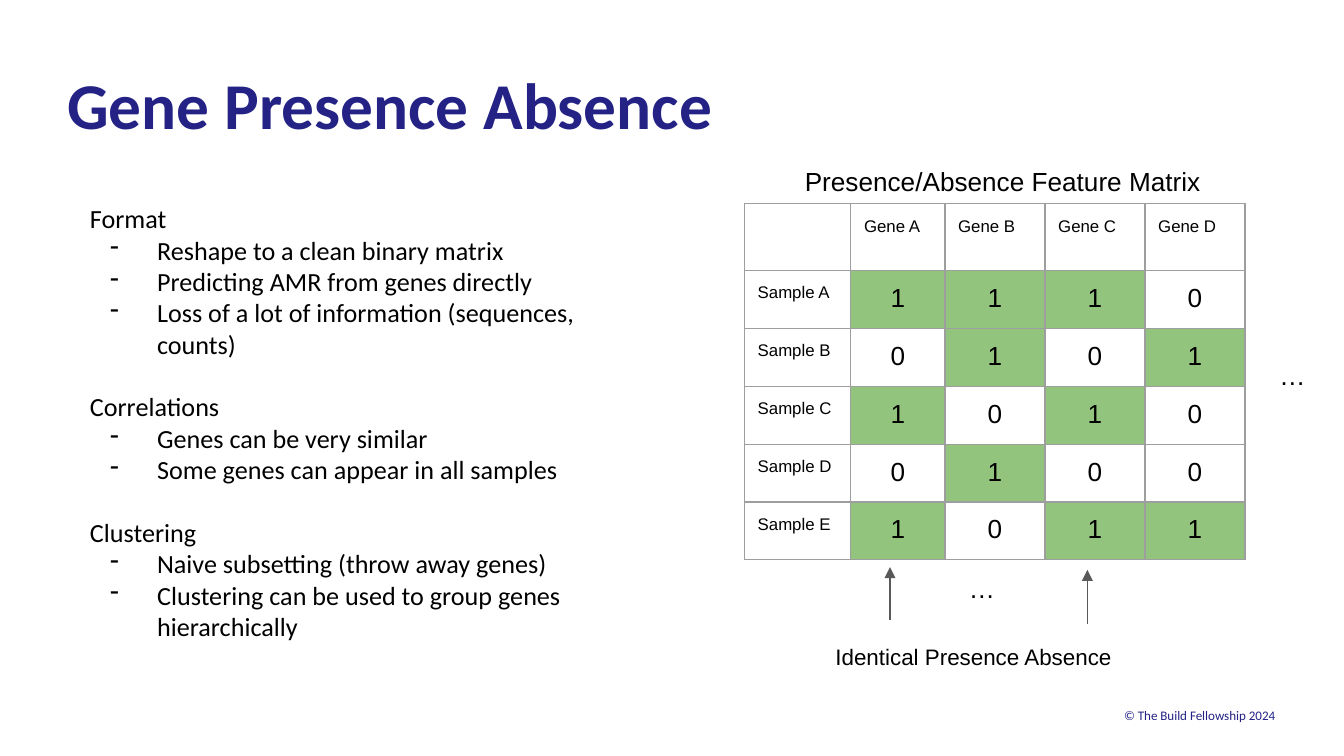
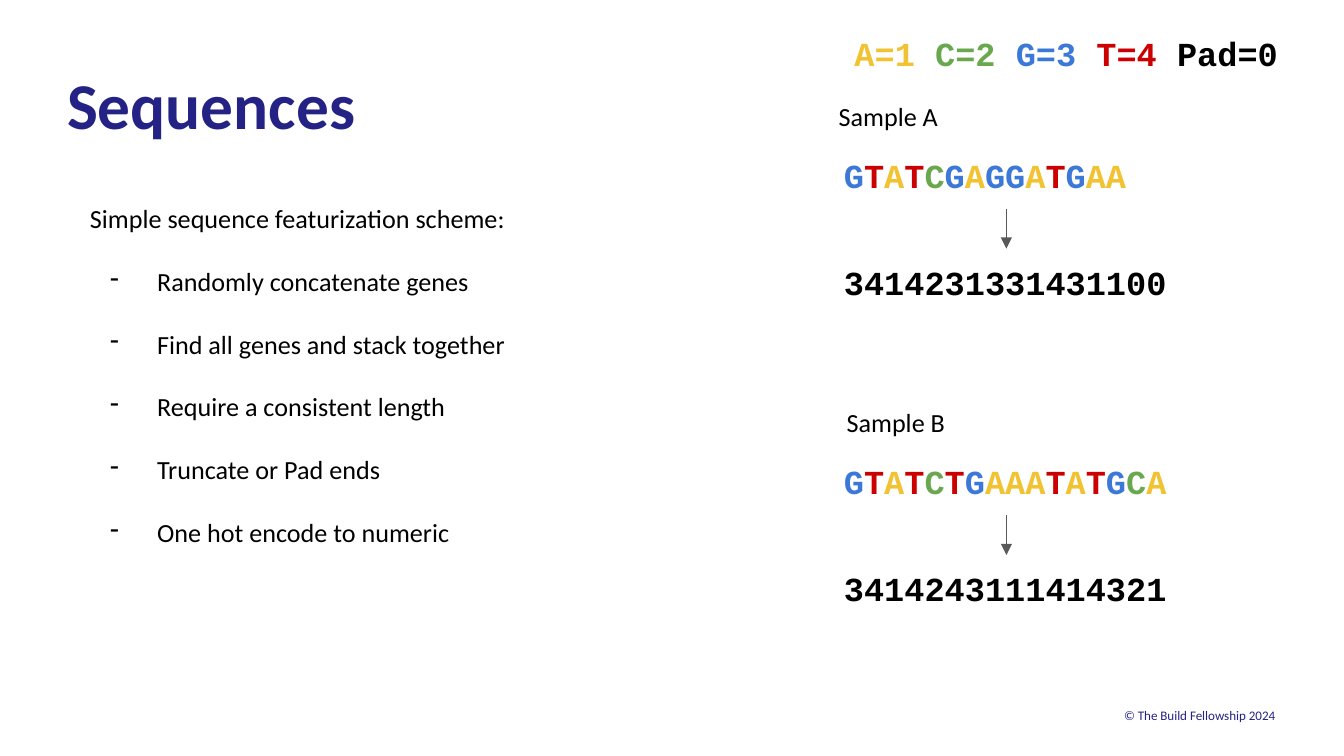
from dataclasses import dataclass
from itertools import groupby

from lxml import etree
from pptx import Presentation
from pptx import util as u
from pptx.dml.color import RGBColor
from pptx.enum import shapes, text
from pptx.oxml import ns


@dataclass(frozen=True)
class Theme:
    navy: str = "242385"
    black: str = "000000"
    present: str = "93C47D"
    grid: str = "9E9E9E"
    arrow: str = "595959"
    gold: str = "F1C232"
    green: str = "6AA84F"
    blue: str = "3C78D8"
    red: str = "CC0000"
    body_font: str = "Calibri"
    matrix_font: str = "Arial"
    code_font: str = "Courier New"
    title: float = 35
    code: float = 18
    body: float = 14
    note: float = 12
    label: float = 9
    footer: float = 7
    line_gap: float = 16.8
    hairline: float = 0.75
    inset: float = 0.25


THEME = Theme()
LEFT, CENTER, RIGHT = text.PP_ALIGN.LEFT, text.PP_ALIGN.CENTER, text.PP_ALIGN.RIGHT


def write(target, lines, at=None, size=THEME.body, font=THEME.body_font, color=THEME.black,
          bold=False, align=LEFT, anchor=text.MSO_ANCHOR.TOP, inset=THEME.inset,
          heading_gap=0, bullet_gap=0):
    """Write lines into a cell, or into a new box at (left, top, width, height) cm on a slide.

    A line is a string or a list of (text, colour) runs; "- " starts a bullet.
    """
    if at:
        frame = target.shapes.add_textbox(*map(u.Cm, at)).text_frame
        frame.word_wrap = True
        frame.vertical_anchor = anchor
    else:
        frame = target.text_frame
    holder = frame if at else target
    holder.margin_left = holder.margin_right = u.Cm(inset)
    holder.margin_top = holder.margin_bottom = u.Cm(inset)

    for index, line in enumerate([lines] if isinstance(lines, str) else lines):
        paragraph = frame.add_paragraph() if index else frame.paragraphs[0]
        bulleted = isinstance(line, str) and line.startswith("- ")
        if bulleted:
            line = line[2:]
            props = paragraph._p.get_or_add_pPr()
            props.set("marL", str(u.Cm(1.27)))
            props.set("indent", str(u.Cm(-0.89)))
            bullet_color = etree.SubElement(props, ns.qn("a:buClr"))
            etree.SubElement(bullet_color, ns.qn("a:srgbClr"), val=color)
            etree.SubElement(props, ns.qn("a:buChar"), char="-")
        gap = bullet_gap if bulleted else heading_gap
        if index and gap:
            paragraph.space_before = u.Pt(gap)
        paragraph.alignment = align
        paragraph.font.size = u.Pt(size)
        for words, run_color in [(line, color)] if isinstance(line, str) else line:
            run = paragraph.add_run()
            run.text = words
            run.font.size, run.font.name, run.font.bold = u.Pt(size), font, bold
            run.font.color.rgb = RGBColor.from_string(run_color)


def draw_arrow(slide, x, start, end):
    """Draw a vertical arrow whose head is at end."""
    arrow = slide.shapes.add_connector(
        shapes.MSO_CONNECTOR.STRAIGHT, u.Cm(x), u.Cm(start), u.Cm(x), u.Cm(end))
    arrow.line.color.rgb = RGBColor.from_string(THEME.arrow)
    arrow.line.width = u.Pt(THEME.hairline)
    etree.SubElement(arrow.line._get_or_add_ln(), ns.qn("a:tailEnd"), type="triangle")
    etree.SubElement(arrow._element.spPr, ns.qn("a:effectLst"))


deck = Presentation()
deck.slide_width, deck.slide_height = u.Cm(25.4), u.Cm(14.29)

# Shared title and footer
pages = []
for heading in ("Gene Presence Absence", "Sequences"):
    page = deck.slides.add_slide(deck.slide_layouts[6])
    write(page, "© The Build Fellowship 2024", at=(1.27, 13.31, 22.83, 0.41), size=THEME.footer,
          color=THEME.navy, align=RIGHT, anchor=text.MSO_ANCHOR.MIDDLE, inset=0)
    write(page, heading, at=(1.27, 1.22, 16.43, 2.92), size=THEME.title,
          color=THEME.navy, bold=True, inset=0)
    pages.append(page)
absence, sequences = pages

# Gene presence: notes
write(absence, [
    "Format",
    "- Reshape to a clean binary matrix",
    "- Predicting AMR from genes directly",
    "- Loss of a lot of information (sequences, counts)",
    "Correlations",
    "- Genes can be very similar",
    "- Some genes can appear in all samples",
    "Clustering",
    "- Naive subsetting (throw away genes)",
    "- Clustering can be used to group genes hierarchically",
], at=(1.45, 3.58, 9.88, 7.9), heading_gap=THEME.line_gap)

# Gene presence: feature matrix
samples = {"A": "1110", "B": "0101", "C": "1010", "D": "0100", "E": "1011"}
rows = [["", *(f"Gene {gene}" for gene in "ABCD")]]
rows += [[f"Sample {sample}", *flags] for sample, flags in samples.items()]
column_widths = [2.01, 1.78, 1.89, 1.89, 1.89]
row_heights = [1.2] + [1.06] * len(samples)

matrix = absence.shapes.add_table(
    len(rows), len(column_widths), u.Cm(14.07), u.Cm(3.85),
    u.Cm(sum(column_widths)), u.Cm(sum(row_heights))).table
matrix.first_row = matrix.horz_banding = False
for column, width in zip(matrix.columns, column_widths):
    column.width = u.Cm(width)
for row, height, values in zip(matrix.rows, row_heights, rows):
    row.height = u.Cm(height)
    for cell, value in zip(row.cells, values):
        is_flag = value in ("0", "1")
        write(cell, value, font=THEME.matrix_font, size=THEME.body if is_flag else THEME.label,
              align=CENTER if is_flag else LEFT)
        for side in ("lnL", "lnR", "lnT", "lnB"):
            border = etree.SubElement(cell._tc.get_or_add_tcPr(), ns.qn(f"a:{side}"),
                                      w=str(u.Pt(THEME.hairline)))
            paint = etree.SubElement(border, ns.qn("a:solidFill"))
            etree.SubElement(paint, ns.qn("a:srgbClr"), val=THEME.grid)
        if value == "1":
            cell.fill.solid()
            cell.fill.fore_color.rgb = RGBColor.from_string(THEME.present)
        else:
            cell.fill.background()

# Gene presence: matrix captions and arrows
for caption, place, size in (
    ("Presence/Absence Feature Matrix", (14.96, 2.87, 8.56, 0.84), THEME.body),
    ("…", (23.93, 6.55, 1.47, 1.19), THEME.body),
    ("…", (18.06, 10.57, 1.47, 1.19), THEME.body),
    ("Identical Presence Absence", (15.54, 11.91, 7.39, 0.84), THEME.note),
):
    write(absence, caption, at=place, size=size, font=THEME.matrix_font)
draw_arrow(absence, 16.82, 11.71, 10.72)
draw_arrow(absence, 20.55, 11.79, 10.77)

# Sequences: scheme
write(sequences, [
    "Simple sequence featurization scheme:",
    "- Randomly concatenate genes",
    "- Find all genes and stack together",
    "- Require a consistent length",
    "- Truncate or Pad ends",
    "- One hot encode to numeric",
], at=(1.45, 3.58, 12.67, 8.1), bullet_gap=THEME.line_gap)

# Sequences: base code key
base_colors = {"A": THEME.gold, "C": THEME.green, "G": THEME.blue, "T": THEME.red}
code_style = dict(size=THEME.code, font=THEME.code_font, bold=True)
key = [(f"{base}={number} ", color)
       for number, (base, color) in enumerate(base_colors.items(), start=1)]
write(sequences, [key + [("Pad=0", THEME.black)]], at=(15.9, 0.38, 9.14, 1.02), **code_style)

# Sequences: encoded samples
for sample, label_x, top, bases, digits in (
    ("Sample A", 15.6, 1.65, "GTATCGAGGATGAA", "3414231331431100"),
    ("Sample B", 15.75, 7.44, "GTATCTGAAATATGCA", "3414243111414321"),
):
    write(sequences, sample, at=(label_x, top, 6.58, 1.02))
    colored = [("".join(group), base_colors[base]) for base, group in groupby(bases)]
    write(sequences, [colored], at=(15.7, top + 1.02, 8.33, 1.27), **code_style)
    draw_arrow(sequences, 19.02, top + 2.3, top + 3.05)
    write(sequences, digits, at=(15.7, top + 3.05, 8.33, 1.27), **code_style)

deck.save("out.pptx")
